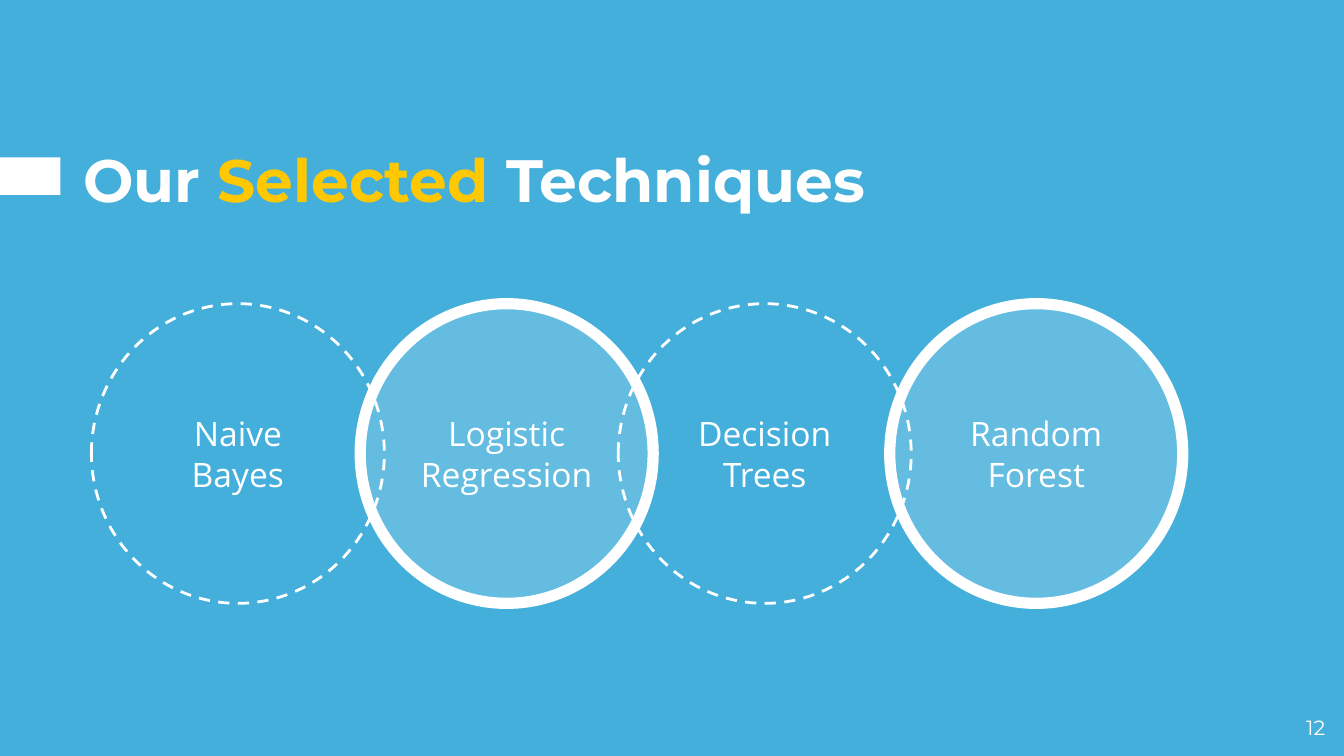
"""Build the slide of selected techniques as a row of overlapping circles."""
from lxml import etree
from pptx import Presentation
from pptx.dml.color import RGBColor
from pptx.enum.dml import MSO_LINE
from pptx.enum.shapes import MSO_SHAPE
from pptx.enum.text import MSO_ANCHOR, PP_ALIGN
from pptx.oxml.ns import qn
from pptx.util import Inches, Pt

RECTANGLE, OVAL = MSO_SHAPE.RECTANGLE, MSO_SHAPE.OVAL
TOP, MIDDLE = MSO_ANCHOR.TOP, MSO_ANCHOR.MIDDLE
LEFT, CENTER, RIGHT = PP_ALIGN.LEFT, PP_ALIGN.CENTER, PP_ALIGN.RIGHT
DASH = MSO_LINE.DASH

BLUE = RGBColor(0x45, 0xAF, 0xDC)
WHITE = RGBColor(0xFF, 0xFF, 0xFF)
YELLOW = RGBColor(0xFF, 0xC8, 0x00)
HEADING_FONT, BODY_FONT = "Montserrat", "Open Sans"

TITLE = [("Our", WHITE), (" Selected ", YELLOW), ("Techniques", WHITE)]
TECHNIQUES = [
    ("Logistic Regression", 2.68, True),
    ("Naive Bayes", 0.68, False),
    ("Decision Trees", 4.6, False),
    ("Random Forest", 6.62, True),
]
PAGE_NUMBER = "12"
CIRCLE_TOP, CIRCLE_WIDTH, CIRCLE_HEIGHT = 2.26, 2.18, 2.23
TINT_OPACITY = 17


def inches(*lengths):
    return [Inches(length) for length in lengths]


def write(box, spans, font, size, align, anchor=TOP, bold=False):
    frame = box.text_frame
    frame.word_wrap = True
    frame.vertical_anchor = anchor
    frame.margin_left = frame.margin_right = Inches(0.1)
    frame.margin_top = frame.margin_bottom = Inches(0.1)
    para = frame.paragraphs[0]
    para.alignment = align
    para.line_spacing = 1.0
    para.space_before = Pt(0)
    for text, color in spans:
        span = para.add_run()
        span.text = text
        span.font.name = font
        span.font.size = Pt(size)
        span.font.bold = bold
        span.font.color.rgb = color


def add_circle(page, label, left, tinted):
    circle = page.shapes.add_shape(
        OVAL, *inches(left, CIRCLE_TOP, CIRCLE_WIDTH, CIRCLE_HEIGHT))
    circle.shadow.inherit = False
    circle.line.color.rgb = WHITE
    if tinted:
        circle.fill.solid()
        circle.fill.fore_color.rgb = WHITE
        color = circle.fill._xPr.find(qn("a:solidFill"))[0]
        etree.SubElement(color, qn("a:alpha"), val=str(TINT_OPACITY * 1000))
        circle.line.width = Pt(6)
    else:
        circle.fill.background()
        circle.line.width = Pt(1.5)
        circle.line.dash_style = DASH
    write(circle, [(label, WHITE)], BODY_FONT, 18, CENTER, MIDDLE)


def main():
    deck = Presentation()
    deck.slide_width = Inches(10)
    deck.slide_height = deck.slide_width * 9 // 16
    page = deck.slides.add_slide(deck.slide_layouts[5])
    page.background.fill.solid()
    page.background.fill.fore_color.rgb = BLUE

    marker = page.shapes.add_shape(RECTANGLE, *inches(0, 1.17, 0.45, 0.28))
    marker.shadow.inherit = False
    marker.fill.solid()
    marker.fill.fore_color.rgb = WHITE
    marker.line.fill.background()

    title = page.shapes.title
    title.left, title.top, title.width, title.height = inches(0.52, 0.96, 6.87, 0.73)
    write(title, TITLE, HEADING_FONT, 32, LEFT, bold=True)

    for label, left, tinted in TECHNIQUES:
        add_circle(page, label, left, tinted)

    number = page.shapes.add_textbox(*inches(9.36, 5.23, 0.6, 0.32))
    write(number, [(PAGE_NUMBER, WHITE)], HEADING_FONT, 11, RIGHT)
    deck.save("out.pptx")


if __name__ == "__main__":
    main()
